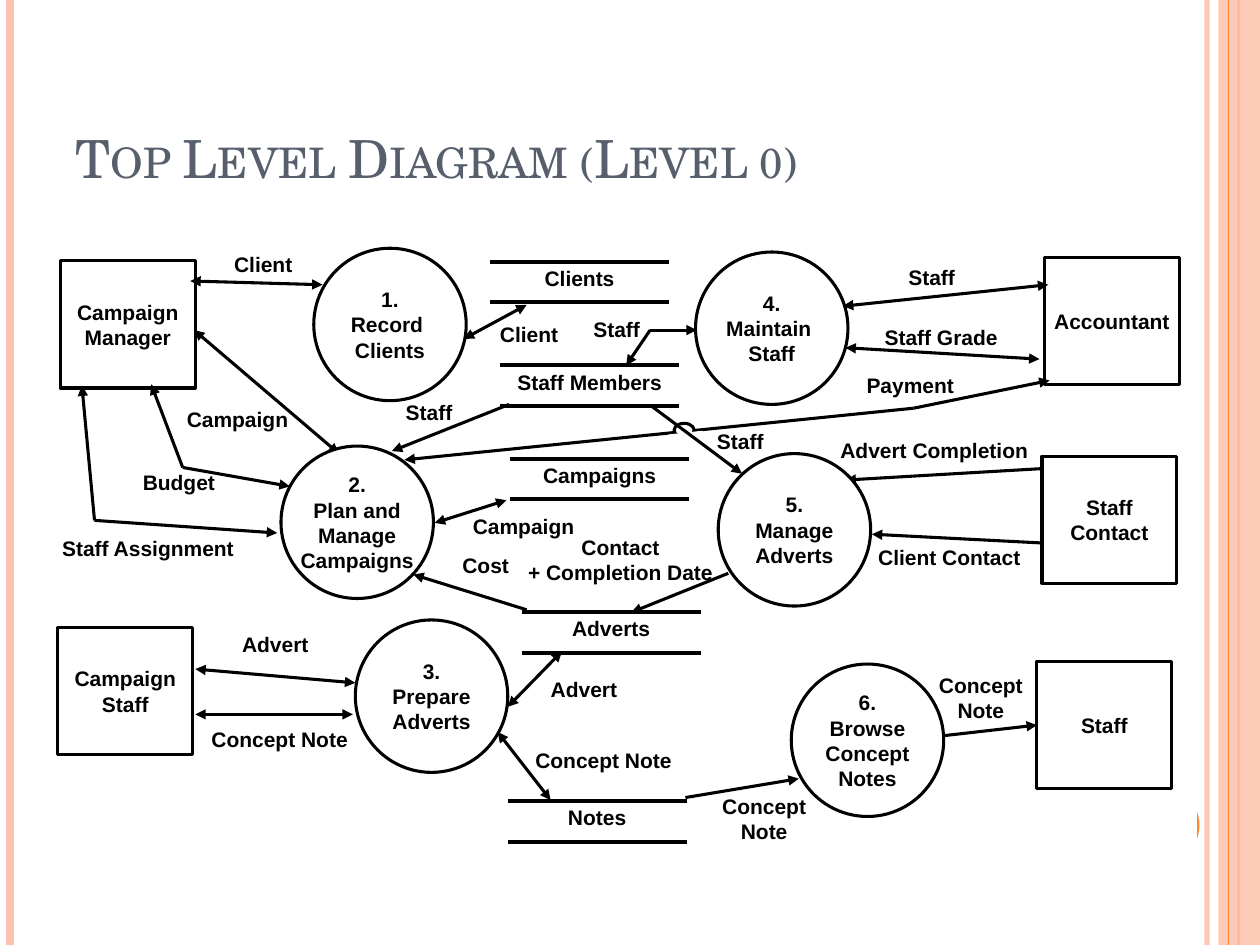
from pptx import Presentation
from pptx.dml.color import RGBColor
from pptx.enum.shapes import MSO_CONNECTOR, MSO_SHAPE
from pptx.enum.text import MSO_ANCHOR, MSO_AUTO_SIZE, PP_ALIGN
from pptx.oxml.ns import qn
from pptx.util import Inches, Pt
from lxml import etree

STRAIGHT = MSO_CONNECTOR.STRAIGHT
RECT, OVAL = MSO_SHAPE.RECTANGLE, MSO_SHAPE.OVAL
MIDDLE, BOTTOM = MSO_ANCHOR.MIDDLE, MSO_ANCHOR.BOTTOM
CENTER, LEFT = PP_ALIGN.CENTER, PP_ALIGN.LEFT
FIT_TEXT = MSO_AUTO_SIZE.SHAPE_TO_FIT_TEXT

COLORS = {"white": "FFFFFF", "ink": "000000", "title": "575F6D",
          "peach": "FEC3AE", "orange": "FE8637"}

TITLE = "Top Level Diagram (Level 0)"

# x, colour, width in points, opacity in percent
BACK_STRIPES = [(9.58, "peach", 3, 93), (0.08, "peach", 4.5, 100), (9.83, "orange", 1.5, 100)]
FRONT_STRIPES = [(9.75, "orange", 0.75, 100)]

# text, left, top
ENTITY_SIZE = (1.07, 1.01)
ENTITIES = [
    ("Campaign\vManager", 0.48, 2.07),
    ("Campaign\vStaff", 0.46, 4.98),
    ("Accountant", 8.29, 2.04),
    ("Staff\nContact", 8.27, 3.62),
    ("Staff", 8.23, 5.25),
]
PROCESS_SIZE = (1.21, 1.21)
PROCESSES = [
    ("1.\nRecord \nClients", 2.49, 1.97),
    ("2.\nPlan and\nManage\nCampaigns", 2.23, 3.54),
    ("3.\nPrepare\nAdverts", 2.82, 4.92),
    ("4.\nMaintain \nStaff", 5.52, 2.0),
    ("5.\nManage\nAdverts", 5.7, 3.6),
    ("6.\nBrowse\nConcept\nNotes", 6.28, 5.27),
]
# text, left, top, width of the text
STORE_WIDTH, STORE_HEIGHT = 1.42, 0.32
STORES = [
    ("Clients", 3.89, 2.08, 0.76),
    ("Staff Members", 3.97, 2.9, 1.35),
    ("Campaigns", 4.05, 3.64, 1.1),
    ("Adverts", 4.14, 4.86, 0.82),
    ("Notes", 4.03, 6.36, 0.66),
]
# points along the flow, arrow at its start, arrow at its end
FLOWS = [
    ([(1.51, 2.23), (2.56, 2.26)], True, True),
    ([(1.54, 2.62), (2.69, 3.6)], True, True),
    ([(0.65, 3.06), (0.75, 4.13), (2.2, 4.23)], True, True),
    ([(1.2, 3.05), (1.45, 3.71), (2.3, 3.86)], True, True),
    ([(1.55, 5.31), (2.82, 5.42)], True, True),
    ([(2.8, 5.67), (1.55, 5.67)], True, True),
    ([(3.68, 2.69), (4.18, 2.42)], True, True),
    ([(4.97, 2.9), (5.16, 2.62), (5.53, 2.62)], True, True),
    ([(4.04, 3.21), (3.11, 3.58)], False, True),
    ([(3.45, 4.15), (4.02, 3.97)], True, True),
    ([(4.18, 4.84), (3.28, 4.56)], False, True),
    ([(5.78, 4.55), (5.01, 4.86)], False, True),
    ([(4.03, 5.61), (4.46, 5.17)], True, True),
    ([(3.95, 5.81), (4.37, 6.35)], True, True),
    ([(5.44, 6.33), (6.34, 6.18)], False, True),
    ([(6.69, 2.43), (8.32, 2.26)], True, True),
    ([(6.71, 2.76), (8.25, 2.85)], True, True),
    ([(3.21, 3.65), (7.25, 3.24), (8.33, 3.02)], True, True),
    ([(8.26, 3.72), (6.71, 3.81)], False, True),
    ([(8.28, 4.31), (6.92, 4.24)], False, True),
]
CONCEPT_NOTE_TO_STAFF = [(7.48, 5.84), (8.23, 5.75)]
STAFF_TO_ADVERTS = [(5.18, 3.23), (5.89, 3.76)]

# text, left, top, width
FLOW_LABELS = [
    ("Client", 1.76, 1.95, 0.66),
    ("Campaign", 1.38, 3.18, 1.01),
    ("Budget", 1.03, 3.68, 0.78),
    ("Staff Assignment", 0.39, 4.2, 1.57),
    ("Advert", 1.82, 4.96, 0.73),
    ("Concept Note", 1.58, 5.72, 1.28),
    ("Client", 3.87, 2.5, 0.66),
    ("Staff", 4.61, 2.46, 0.57),
    ("Staff", 3.12, 3.12, 0.57),
    ("Staff", 5.59, 3.35, 0.57),
    ("Campaign", 3.65, 4.03, 1.01),
    ("Cost", 3.57, 4.34, 0.57),
    ("Contact\n+ Completion Date", 4.09, 4.19, 1.67),
    ("Advert", 4.27, 5.32, 0.73),
    ("Concept Note", 4.15, 5.88, 1.28),
    ("Concept\nNote", 5.63, 6.25, 0.87),
    ("Staff", 7.11, 2.05, 0.57),
    ("Staff Grade", 6.92, 2.53, 1.1),
    ("Payment", 6.76, 2.91, 0.93),
    ("Advert Completion", 6.57, 3.42, 1.69),
    ("Client Contact", 6.87, 4.27, 1.33),
    ("Concept\nNote", 7.35, 5.29, 0.87),
]


def rgb(color):
    return RGBColor.from_string(COLORS[color])


def set_opacity(element, percent):
    if percent < 100:
        color = element.find(".//" + qn("a:srgbClr"))
        etree.SubElement(color, qn("a:alpha"), val=str(percent * 1000))


def add_line(shapes, start, end, color="ink", width=1.75, opacity=100,
             start_arrow=False, end_arrow=False):
    line = shapes.add_connector(STRAIGHT, *(Inches(v) for v in (*start, *end)))
    line.line.color.rgb = rgb(color)
    line.line.width = Pt(width)
    properties = line._element.spPr
    set_opacity(properties, opacity)
    for tag, wanted in (("a:headEnd", start_arrow), ("a:tailEnd", end_arrow)):
        if wanted:
            etree.SubElement(properties.find(qn("a:ln")), qn(tag), type="triangle")
    etree.SubElement(properties, qn("a:effectLst"))
    return line


def add_flow(shapes, points, start_arrow, end_arrow):
    last = len(points) - 2
    for i, (start, end) in enumerate(zip(points, points[1:])):
        add_line(shapes, start, end, start_arrow=start_arrow and i == 0,
                 end_arrow=end_arrow and i == last)


def add_stripes(shapes, stripes):
    for x, color, width, opacity in stripes:
        add_line(shapes, (x, 0), (x, 7.5), color, width, opacity)


def write(shape, text):
    frame = shape.text_frame
    frame.word_wrap = False
    frame.text = text
    for paragraph in frame.paragraphs:
        paragraph.alignment = CENTER
        font = paragraph.font
        font.name, font.size, font.bold = "Arial", Pt(12), True
        font.color.rgb = rgb("ink")


def add_block(shapes, kind, box, fill="white", outlined=False, text=None, opacity=100):
    block = shapes.add_shape(kind, *(Inches(v) for v in box))
    block.shadow.inherit = False
    block.fill.solid()
    block.fill.fore_color.rgb = rgb(fill)
    set_opacity(block._element.spPr, opacity)
    if outlined:
        block.line.color.rgb = rgb("ink")
        block.line.width = Pt(1.75)
    else:
        block.line.fill.background()
    if text:
        write(block, text)
        block.text_frame.vertical_anchor = MIDDLE
    return block


def add_label(shapes, text, left, top, width):
    height = 0.3 + 0.2 * text.count("\n")
    label = shapes.add_textbox(*(Inches(v) for v in (left, top, width, height)))
    write(label, text)
    label.text_frame.auto_size = FIT_TEXT


def add_store(shapes, text, left, top, text_width):
    store = shapes.add_group_shape().shapes
    add_block(store, RECT, (left + 0.01, top, STORE_WIDTH - 0.02, STORE_HEIGHT))
    for y in (top, top + STORE_HEIGHT):
        add_line(store, (left, y), (left + STORE_WIDTH, y), width=2.25)
    add_label(store, text, left + (STORE_WIDTH - text_width) / 2, top - 0.02, text_width)


def add_title(slide):
    title = slide.shapes.title
    title.left, title.top, title.width, title.height = (
        Inches(v) for v in (0.5, 0.3, 8.17, 1.25))
    title.text_frame.text = TITLE
    title.text_frame.vertical_anchor = BOTTOM
    paragraph = title.text_frame.paragraphs[0]
    paragraph.alignment = LEFT
    font = paragraph.runs[0].font
    font.name, font.size = "TeX Gyre Schola", Pt(30)
    font.color.rgb = rgb("title")
    font._element.set("cap", "small")


def main():
    deck = Presentation()
    deck.slide_width, deck.slide_height = Inches(10), Inches(7.5)
    slide = deck.slides.add_slide(deck.slide_layouts[5])
    shapes = slide.shapes
    add_title(slide)
    add_stripes(shapes, BACK_STRIPES)
    add_block(shapes, RECT, (9.67, 0, 0.33, 7.5), "peach", opacity=87)
    add_stripes(shapes, FRONT_STRIPES)
    add_block(shapes, OVAL, (8.92, 6.25, 0.6, 0.6), "orange")
    add_block(shapes, RECT, (0.37, 1.92, 9.13, 5.03))
    entities = [add_block(shapes, RECT, (left, top, *ENTITY_SIZE), outlined=True, text=text)
                for text, left, top in ENTITIES]
    for store in STORES:
        add_store(shapes, *store)
    for flow in FLOWS:
        add_flow(shapes, *flow)
    add_line(shapes, *CONCEPT_NOTE_TO_STAFF, end_arrow=True).end_connect(entities[-1], 1)
    for text, left, top in PROCESSES:
        add_block(shapes, OVAL, (left, top, *PROCESS_SIZE), outlined=True, text=text)
    for label in FLOW_LABELS:
        add_label(shapes, *label)
    # The payment flow hops over the staff flow
    hop = shapes.add_group_shape().shapes
    add_block(hop, OVAL, (5.35, 3.36, 0.16, 0.11), outlined=True)
    add_line(hop, (5.31, 3.49), (5.58, 3.46), "white", 6)
    add_line(shapes, *STAFF_TO_ADVERTS, end_arrow=True)
    deck.save("out.pptx")


if __name__ == "__main__":
    main()
